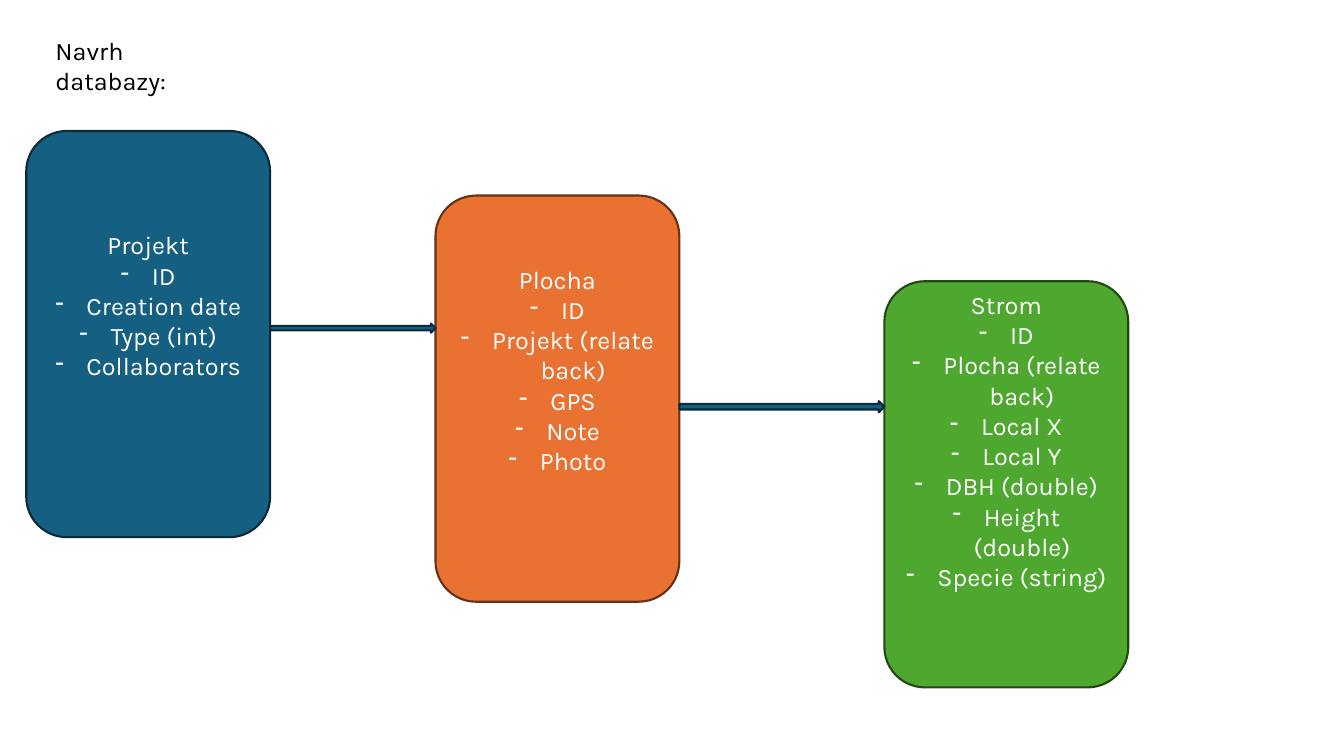
import lxml.etree
import pptx
import pptx.dml.color
import pptx.enum.shapes
import pptx.enum.text
import pptx.oxml.ns
import pptx.util

RGBColor = pptx.dml.color.RGBColor
Shape = pptx.enum.shapes.MSO_SHAPE
Align = pptx.enum.text.PP_ALIGN
Anchor = pptx.enum.text.MSO_ANCHOR

BLACK = RGBColor(0x00, 0x00, 0x00)
WHITE = RGBColor(0xFF, 0xFF, 0xFF)
BLUE, NAVY = RGBColor(0x15, 0x60, 0x82), RGBColor(0x09, 0x2A, 0x39)
ORANGE, BROWN = RGBColor(0xE9, 0x71, 0x32), RGBColor(0x66, 0x32, 0x16)
GREEN, FOREST = RGBColor(0x4E, 0xA7, 0x2E), RGBColor(0x22, 0x49, 0x14)

ENTITY_WIDTH, ENTITY_HEIGHT = 18.15, 53.73
ENTITIES = [
    ("Projekt", ["ID", "Creation date", "Type (int)", "Collaborators"],
     1.95, 17.33, BLUE, NAVY, 7.6),
    ("Plocha", ["ID", "Projekt (relate back)", "GPS", "Note", "Photo"],
     32.4, 25.87, ORANGE, BROWN, 7.6),
    ("Strom", ["ID", "Plocha (relate back)", "Local X", "Local Y", "DBH (double)",
               "Height (double)", "Specie (string)"],
     65.8, 37.2, GREEN, FOREST, 11.6),
]
ARROWS = [(42.8, 1.2), (53.07, 1.47)]


def write(para, text, *, font="Karla", size=18, color=WHITE, align=Align.CENTER, bullet=None):
    """Write formatted text into a paragraph, with a hanging bullet if given."""
    para.alignment = align
    span = para.add_run()
    span.text = text
    span.font.name = font
    span.font.size = pptx.util.Pt(size)
    span.font.color.rgb = color
    if bullet:
        props = para._p.get_or_add_pPr()
        indent = pptx.util.Inches(0.31)
        props.set("marL", str(indent))
        props.set("indent", str(-indent))
        mark = lxml.etree.SubElement(props, pptx.oxml.ns.qn("a:buChar"))
        mark.set("char", bullet)


class Diagram:
    """Draws database entities on a page, in percent of its width and height."""

    def __init__(self, deck):
        self.deck = deck
        self.page = deck.slides.add_slide(deck.slide_layouts[5])
        self.line_width = pptx.util.Pt(1.5)

    def area(self, left, top, width, height):
        """Turn percentages into slide lengths."""
        across, down = self.deck.slide_width / 100, self.deck.slide_height / 100
        return (round(left * across), round(top * down),
                round(width * across), round(height * down))

    def title(self, text, *area):
        """Place and format the title."""
        box = self.page.shapes.title
        box.left, box.top, box.width, box.height = self.area(*area)
        frame = box.text_frame
        frame.word_wrap = True
        frame.auto_size = pptx.enum.text.MSO_AUTO_SIZE.NONE
        frame.vertical_anchor = Anchor.TOP
        write(frame.paragraphs[0], text, color=BLACK, align=Align.LEFT)

    def shape(self, kind, fill, line, *area):
        """Add a filled, outlined preset shape."""
        box = self.page.shapes.add_shape(kind, *self.area(*area))
        box.shadow.inherit = False
        box.fill.solid()
        box.fill.fore_color.rgb = fill
        box.line.color.rgb = line
        box.line.width = self.line_width
        return box

    def entity(self, name, fields, left, top, fill, line, space_below):
        """Add a rounded box with an entity name and its fields."""
        box = self.shape(Shape.ROUNDED_RECTANGLE, fill, line,
                         left, top, ENTITY_WIDTH, ENTITY_HEIGHT)
        frame = box.text_frame
        frame.word_wrap = True
        frame.vertical_anchor = Anchor.MIDDLE
        frame.margin_bottom += self.area(0, 0, 0, space_below)[3]
        write(frame.paragraphs[0], name)
        for field in fields:
            write(frame.add_paragraph(), field, bullet="-")

    def arrow(self, start, end, top, height):
        """Add a block arrow between two horizontal positions."""
        self.shape(Shape.RIGHT_ARROW, BLUE, NAVY, start, top, end - start, height)


def main():
    """Build the database design slide."""
    deck = pptx.Presentation()
    deck.slide_width = pptx.util.Inches(13.33)
    deck.slide_height = pptx.util.Inches(7.5)
    diagram = Diagram(deck)
    diagram.title("Navrh databazy:", 3.38, 4, 15, 9)
    for entity in ENTITIES:
        diagram.entity(*entity)
    for source, target, (top, height) in zip(ENTITIES, ENTITIES[1:], ARROWS):
        diagram.arrow(source[2] + ENTITY_WIDTH, target[2], top, height)
    deck.save("out.pptx")


if __name__ == "__main__":
    main()
